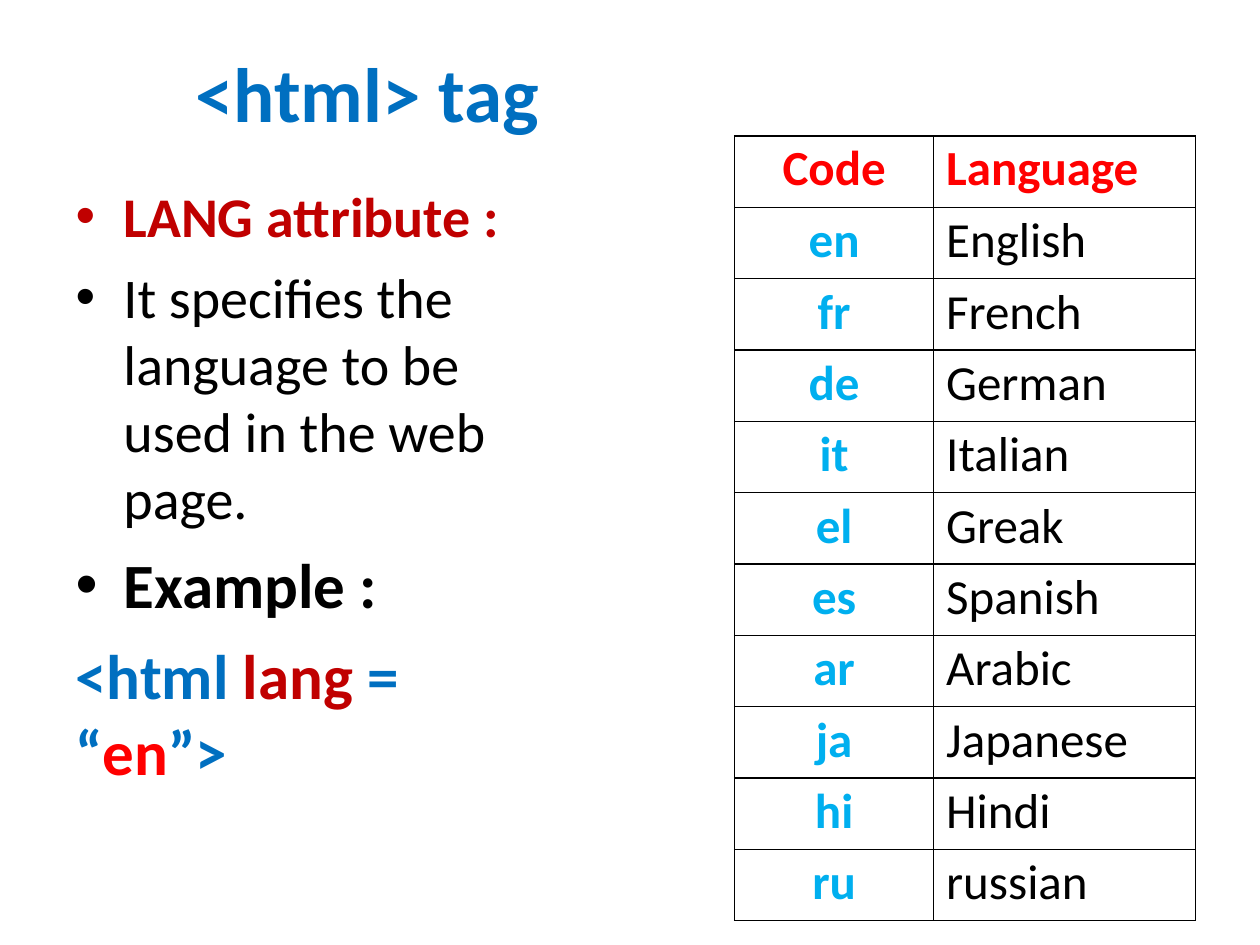
"""Build a slide on the html tag and its lang attribute."""
from lxml import etree
from pptx import Presentation
from pptx.dml.color import RGBColor
from pptx.enum.text import PP_ALIGN
from pptx.oxml.ns import qn
from pptx.util import Inches, Pt

LEFT, MID = PP_ALIGN.LEFT, PP_ALIGN.CENTER
FONT = "Calibri"
COLORS = {"blue": "006FC0", "dark": "C00000", "red": "FF0000",
          "sky": "00AFEF", "black": "000000"}

TITLE = [("<html> tag", "blue", True)]
BODY = [
    (32, 8.7, True, [("LANG attribute :", "dark", True)]),
    (32, 7.7, True, [("It specifies the language to be used in the web page.",
                      "black", False)]),
    (36, 8.4, True, [("Example :", "black", True)]),
    (36, 8.7, False, [("<html ", "blue", True), ("lang ", "dark", True),
                      ("= “", "blue", True), ("en", "red", True),
                      ("”>", "blue", True)]),
]
HEAD = ("Code", "Language")
CODES = [
    ("en", "English"), ("fr", "French"), ("de", "German"), ("it", "Italian"),
    ("el", "Greak"), ("es", "Spanish"), ("ar", "Arabic"), ("ja", "Japanese"),
    ("hi", "Hindi"), ("ru", "russian"),
]
WIDTHS = (1.58, 2.08)
TALL = 6.23


def write(para, runs, size, before, margin=0, indent=0, bullet=False):
    para.space_before = Pt(before)
    props = para._p.get_or_add_pPr()
    props.set("marL", str(Inches(margin)))
    props.set("indent", str(Inches(indent)))
    if bullet:
        etree.SubElement(props, qn("a:buFont"), typeface="Arial")
        etree.SubElement(props, qn("a:buChar"), char="•")
    for text, color, bold in runs:
        run = para.add_run()
        run.text = text
        font = run.font
        font.name, font.size, font.bold = FONT, Pt(size), bold
        font.color.rgb = RGBColor.from_string(COLORS[color])


def add_box(slide, left, top, width, height, inset, right=0):
    box = slide.shapes.add_textbox(*map(Inches, (left, top, width, height)))
    frame = box.text_frame
    frame.word_wrap = True
    frame.margin_left = frame.margin_bottom = 0
    frame.margin_top, frame.margin_right = Inches(inset), Inches(right)
    return frame


def add_edges(cell):
    props = cell._tc.get_or_add_tcPr()
    for spot, side in enumerate(("lnL", "lnR", "lnT", "lnB")):
        line = etree.Element(qn("a:" + side), w=str(Pt(1)))
        fill = etree.SubElement(line, qn("a:solidFill"))
        etree.SubElement(fill, qn("a:srgbClr"), val=COLORS["black"])
        props.insert(spot, line)


def add_codes(slide):
    rows = [HEAD] + CODES
    frame = slide.shapes.add_table(
        len(rows), len(HEAD), Inches(5.83), Inches(1.08),
        Inches(sum(WIDTHS)), Inches(TALL))
    table = frame.table
    table.first_row = table.horz_banding = False
    for col, width in zip(table.columns, WIDTHS):
        col.width = Inches(width)
    for r, row in enumerate(rows):
        table.rows[r].height = Inches(TALL / len(rows))
        for c, text in enumerate(row):
            cell = table.cell(r, c)
            cell.margin_left = cell.margin_right = cell.margin_bottom = 0
            cell.margin_top = Inches(0.03 if r else 0.02)
            cell.fill.background()
            add_edges(cell)
            color = ("sky", "black")[c] if r else "red"
            para = cell.text_frame.paragraphs[0]
            para.alignment = LEFT if c else MID
            write(para, [(text, color, r == 0 or c == 0)], 28, 1.8, 0.1 * c)


def main():
    deck = Presentation()
    deck.slide_width, deck.slide_height = Inches(10), Inches(7.5)
    slide = deck.slides.add_slide(deck.slide_layouts[6])
    title = add_box(slide, 1.54, 0.35, 2.75, 0.76, 0.01)
    write(title.paragraphs[0], TITLE, 44, 1, 0.01)
    body = add_box(slide, 0.59, 1.32, 3.9, 4.35, 0.12, 0.4)
    for i, (size, before, bullet, runs) in enumerate(BODY):
        para = body.add_paragraph() if i else body.paragraphs[0]
        margin, indent = (0.39, -0.38) if bullet else (0.01, 0)
        write(para, runs, size, before, margin, indent, bullet)
    add_codes(slide)
    deck.save("out.pptx")


if __name__ == "__main__":
    main()
